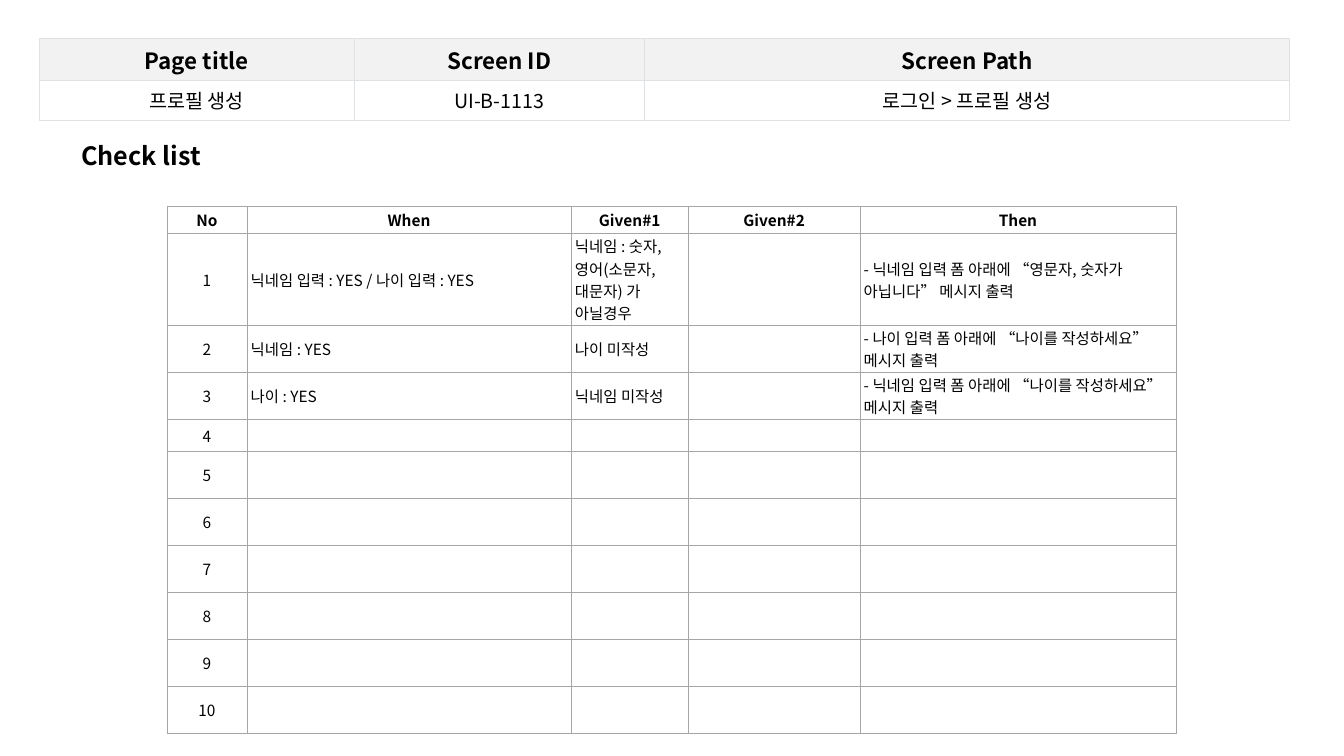
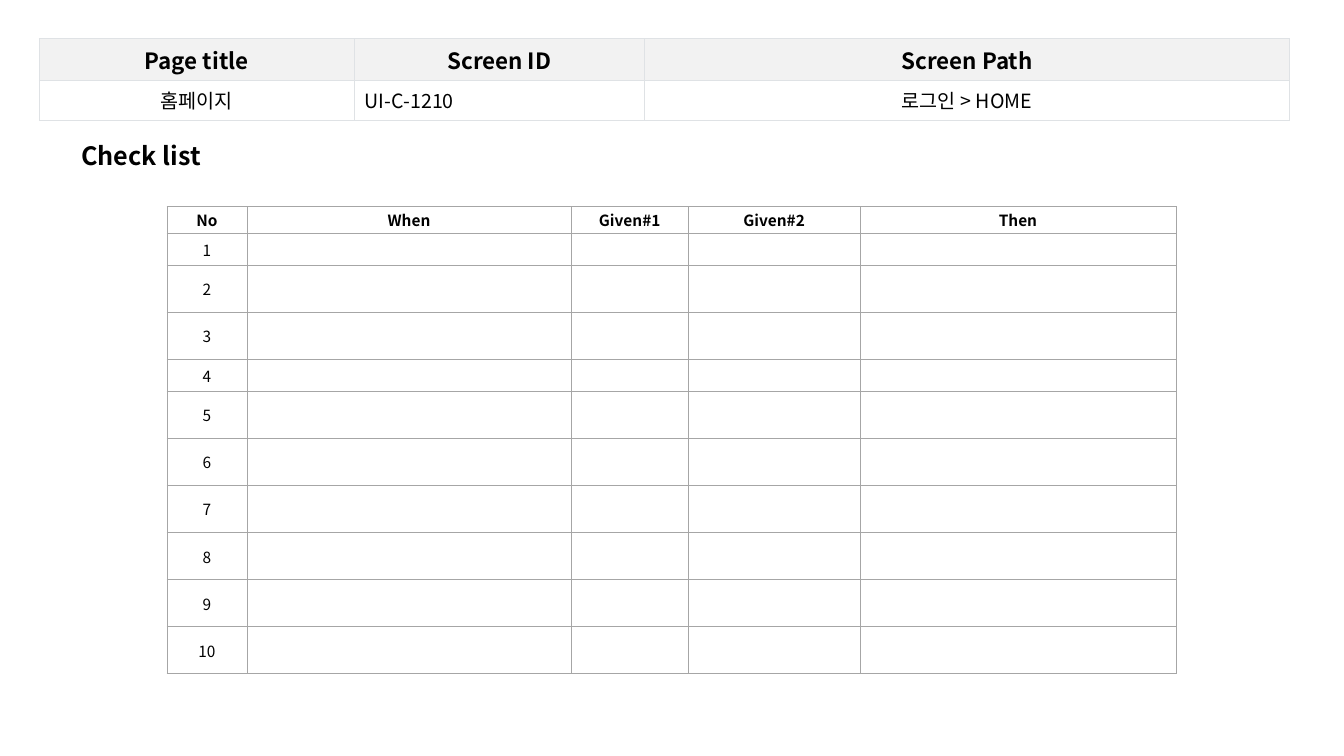
"""Builds two screen check-list slides, each with a page header table and a test table."""
from lxml import etree
from pptx import Presentation
from pptx.dml.color import RGBColor
from pptx.enum.text import MSO_ANCHOR, PP_ALIGN
from pptx.oxml.ns import qn
from pptx.util import Pt

LEFT, CENTER = PP_ALIGN.LEFT, PP_ALIGN.CENTER
MIDDLE = MSO_ANCHOR.MIDDLE
FONT = "Noto Sans CJK KR"
BLACK, WHITE, GREY = "000000", "FFFFFF", "F2F2F2"
HEADER_LINE, CHECK_LINE = "DFE2E5", "A6A6A6"

HEADER_COLS = [224.8, 207.5, 460.8]
HEADER_ROWS = [30.2, 28.2]
HEADER_TITLES = ["Page title", "Screen ID", "Screen Path"]
CHECK_COLS = [57.1, 231.6, 83.7, 122.6, 225.8]
CHECK_TITLES = ["No", "When", "Given#1", "Given#2", "Then"]
CHECK_COUNT = 10
TITLE_ROW, SHORT_ROW, NORMAL_ROW, TALL_ROW = 19.2, 22.9, 33.6, 65.7

SLIDES = [
    {
        "header": ["프로필 생성", "UI-B-1113", "로그인 > 프로필 생성"],
        "id_align": CENTER,
        "first_row": TALL_ROW,
        "checks": [
            ["닉네임 입력 : YES / 나이 입력 : YES",
             "닉네임 : 숫자,영어(소문자,대문자) 가 아닐경우", "",
             "- 닉네임 입력 폼 아래에 “영문자, 숫자가 아닙니다” 메시지 출력"],
            ["닉네임 : YES", "나이 미작성", "",
             "- 나이 입력 폼 아래에 “나이를 작성하세요” 메시지 출력"],
            ["나이 : YES", "닉네임 미작성", "",
             "- 닉네임 입력 폼 아래에 “나이를 작성하세요” 메시지 출력"],
        ],
    },
    {
        "header": ["홈페이지", "UI-C-1210", "로그인 > HOME"],
        "id_align": LEFT,
        "first_row": SHORT_ROW,
        "checks": [],
    },
]


def set_text(p, text, size, bold, align=LEFT):
    p.text = text
    p.alignment = align
    for r in p.runs:
        r.font.size = Pt(size)
        r.font.bold = bold
        r.font.name = FONT
        r.font.color.rgb = RGBColor.from_string(BLACK)
        etree.SubElement(r.font._element, qn("a:ea"), typeface=FONT)
    if not text:
        p._p.get_or_add_endParaRPr().set("sz", str(size * 100))


def add_grid(s, left, top, cols, rows, line, line_width):
    frame = s.shapes.add_table(len(rows), len(cols), Pt(left), Pt(top), Pt(sum(cols)), Pt(sum(rows)))
    table = frame.table
    table.first_row = table.horz_banding = False
    for column, width in zip(table.columns, cols):
        column.width = Pt(width)
    for row, height in zip(table.rows, rows):
        row.height = Pt(height)
    for cell in table.iter_cells():
        tcPr = cell._tc.get_or_add_tcPr()
        for side in ("a:lnL", "a:lnR", "a:lnT", "a:lnB"):
            ln = etree.SubElement(tcPr, qn(side), w=str(Pt(line_width)))
            fill = etree.SubElement(ln, qn("a:solidFill"))
            etree.SubElement(fill, qn("a:srgbClr"), val=line)
        cell.fill.solid()
        cell.fill.fore_color.rgb = RGBColor.from_string(WHITE)
        cell.vertical_anchor = MIDDLE
    return table


prs = Presentation()
prs.slide_width, prs.slide_height = Pt(960), Pt(540)

for page in SLIDES:
    s = prs.slides.add_slide(prs.slide_layouts[6])

    header = add_grid(s, 28.1, 27.4, HEADER_COLS, HEADER_ROWS, HEADER_LINE, 0.6)
    for cell in header.iter_cells():
        cell.margin_left = cell.margin_right = Pt(7.7)
        cell.margin_top = cell.margin_bottom = Pt(3.5)
    aligns = [CENTER, page["id_align"], CENTER]
    for col, title in enumerate(HEADER_TITLES):
        cell = header.cell(0, col)
        cell.fill.fore_color.rgb = RGBColor.from_string(GREY)
        set_text(cell.text_frame.paragraphs[0], title, 16, True, CENTER)
        p = header.cell(1, col).text_frame.paragraphs[0]
        set_text(p, page["header"][col], 14, False, aligns[col])

    heights = [TITLE_ROW] + [NORMAL_ROW] * CHECK_COUNT
    heights[1] = page["first_row"]
    heights[4] = SHORT_ROW
    checks = add_grid(s, 119.3, 147.6, CHECK_COLS, heights, CHECK_LINE, 0.5)
    lines = [CHECK_TITLES]
    for number in range(1, CHECK_COUNT + 1):
        filled = number <= len(page["checks"])
        lines.append([str(number)] + (page["checks"][number - 1] if filled else [""] * 4))
    for row, line in enumerate(lines):
        for col, text in enumerate(line):
            cell = checks.cell(row, col)
            cell.margin_left = cell.margin_right = Pt(2.7)
            cell.margin_top = cell.margin_bottom = Pt(1.4 if row == 0 else 0.7)
            align = CENTER if row == 0 or col == 0 else LEFT
            set_text(cell.text_frame.paragraphs[0], text, 11, row == 0, align)

    tf = s.shapes.add_textbox(Pt(51), Pt(96.5), Pt(275), Pt(29)).text_frame
    tf.word_wrap = True
    set_text(tf.paragraphs[0], "Check list", 18, True)

prs.save("out.pptx")
